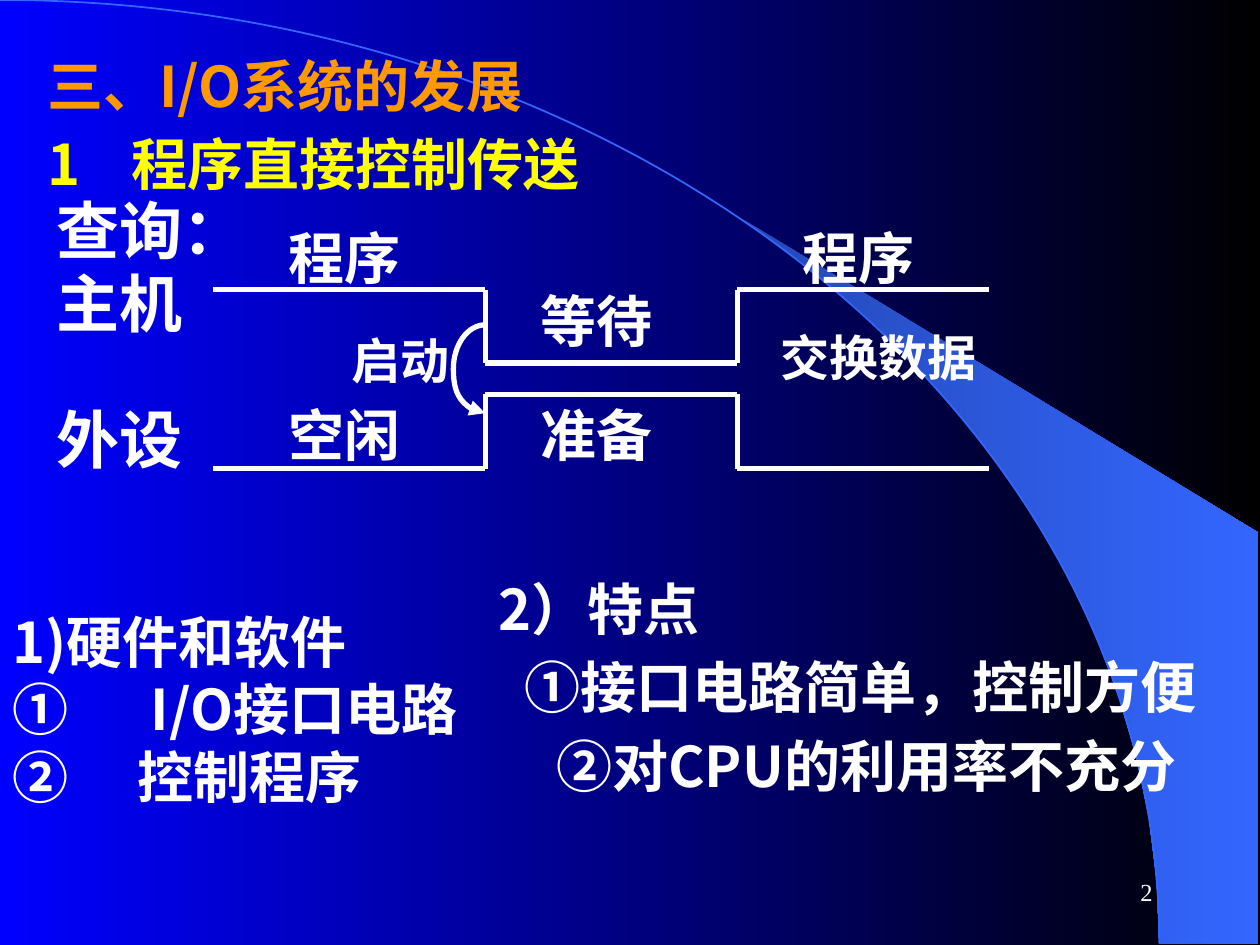
import math
from itertools import cycle, pairwise
from lxml import etree
from pptx import Presentation
from pptx import util as u
from pptx.dml.color import RGBColor
from pptx.enum import shapes, text
from pptx.oxml.ns import qn

COLORS = {"white": "FFFFFF", "orange": "FF9900", "yellow": "FFFF00", "blue": "0000FF",
          "black": "000000", "arc": "3366FF", "wedge": "2449B6"}
CJK, SERIF = "Noto Sans CJK SC", "Times New Roman"

HEADINGS = [("三、I/O系统的发展", 1.7, -1.7), ("1\t程序直接控制传送", 1.7, -1.7)]
PARTS = [("1)硬件和软件", 0, 0), ("①\tI/O接口电路", 2.79, -2.79), ("②\t控制程序", 2.52, -2.52)]
FEATURES = [("2）特点", 0, 0), ("①接口电路简单，控制方便", 0.52, 0), ("②对CPU的利用率不充分", 1.16, 0)]
LABELS = [
    ("查询：", 0.89, 3.73, 6.55, 36, CJK),
    ("主机", 0.89, 5.21, 3.81, 36, CJK),
    ("外设", 0.89, 7.95, 3.81, 36, CJK),
    ("程序", 5.56, 4.37, 3.18, 32, SERIF),
    ("空闲", 5.56, 7.95, 3.18, 32, SERIF),
    ("启动", 6.83, 6.53, 2.74, 28, SERIF),
    ("等待", 10.64, 5.64, 3.18, 32, SERIF),
    ("准备", 10.64, 7.95, 3.18, 32, SERIF),
    ("程序", 15.93, 4.37, 4.65, 32, SERIF),
    ("交换数据", 15.49, 6.48, 5.08, 28, SERIF),
]
TIMES = [4.29, 9.78, 14.86, 19.94]
SIGNALS = {"host": (5.84, 7.32), "device": (9.45, 7.95)}
HORIZON = (23.37, 19.02)
WEDGE_CORNERS = [(25.37, 19.02), (25.37, 10.74)]


def rgb(name):
    return RGBColor.from_string(COLORS[name])


def fill_gradient(fill, *names):
    fill.gradient()
    fill.gradient_angle = 0
    for position, (stop, name) in enumerate(zip(fill.gradient_stops, names)):
        stop.color.rgb = rgb(name)
        stop.position = position


def write(shape, lines, box, *, size=32, font=CJK, colors=("white",), bold=True, gap=0,
          align=text.PP_ALIGN.LEFT, anchor=text.MSO_ANCHOR.TOP, inset=0.13):
    shape.left, shape.top, shape.width, shape.height = map(u.Cm, box)
    frame = shape.text_frame
    frame.word_wrap = True
    frame.auto_size = text.MSO_AUTO_SIZE.NONE
    frame.vertical_anchor = anchor
    frame.margin_left = frame.margin_right = u.Cm(0.25)
    frame.margin_top, frame.margin_bottom = u.Cm(inset), u.Cm(0.13)
    for number, ((line, margin, indent), color) in enumerate(zip(lines, cycle(colors))):
        paragraph = frame.add_paragraph() if number else frame.paragraphs[0]
        paragraph.alignment = align
        paragraph.line_spacing = u.Pt(round(size * 1.2, 1))
        paragraph.space_before = u.Pt(gap if number else 0)
        properties = paragraph._p.get_or_add_pPr()
        properties.set("marL", str(u.Cm(margin)))
        properties.set("indent", str(u.Cm(indent)))
        run = paragraph.add_run()
        run.text = line
        run.font.size, run.font.bold, run.font.name = u.Pt(size), bold, font
        run.font.color.rgb = rgb(color)
        etree.SubElement(run._r.get_or_add_rPr(), qn("a:ea")).set("typeface", CJK)


def draw_outline(slide, points, *, close=False):
    corners = [(u.Cm(x), u.Cm(y)) for x, y in points]
    builder = slide.shapes.build_freeform(*corners[0])
    builder.add_line_segments(corners[1:], close=close)
    shape = builder.convert_to_shape()
    shape.shadow.inherit = False
    return shape


def draw_quarter(slide, start, end, color, width):
    (x1, y1), (x2, y2) = start, end
    bend = 0.55
    curve = draw_outline(slide, [start, (x1 + bend * (x2 - x1), y1),
                                 (x2, y2 - bend * (y2 - y1)), end])
    first, *rest = curve._element.findall(".//" + qn("a:lnTo"))
    first.tag = qn("a:cubicBezTo")
    for step in rest:
        first.append(step[0])
        step.getparent().remove(step)
    curve.fill.background()
    curve.line.color.rgb = rgb(color)
    curve.line.width = u.Pt(width)
    return curve


def draw_wedge(slide):
    rx, ry = HORIZON
    angles = [math.radians(39.8 + i * 50.2 / 13) for i in range(14)]
    rim = [(rx * math.sin(a), ry * (1 - math.cos(a))) for a in angles]
    wedge = draw_outline(slide, rim + WEDGE_CORNERS, close=True)
    fill_gradient(wedge.fill, "wedge", "arc")
    wedge.line.fill.background()


def draw_start_arrow(slide):
    x, left, middle = TIMES[1], 9.14, 7.44
    ends = []
    for y in (6.55, 8.33):
        ends.append(draw_quarter(slide, (x, y), (left, middle), "white", 3))
    line = ends[-1].line._get_or_add_ln()
    etree.SubElement(line, qn("a:headEnd")).set("type", "triangle")


def draw_signal(slide, rest, active):
    start, rise, fall, end = TIMES
    corners = [(start, rest), (rise, rest), (rise, active),
               (fall, active), (fall, rest), (end, rest)]
    for (x1, y1), (x2, y2) in pairwise(corners):
        edge = slide.shapes.add_connector(
            shapes.MSO_CONNECTOR.STRAIGHT, u.Cm(x1), u.Cm(y1), u.Cm(x2), u.Cm(y2))
        edge.line.color.rgb = rgb("white")
        edge.line.width = u.Pt(3)
        etree.SubElement(edge._element.spPr, qn("a:effectLst"))


def main():
    deck = Presentation()
    deck.slide_width, deck.slide_height = u.Cm(25.4), u.Cm(19.05)
    slide = deck.slides.add_slide(deck.slide_layouts[5])
    fill_gradient(slide.background.fill, "blue", "black")
    draw_wedge(slide)
    draw_quarter(slide, (0, 0), HORIZON, "arc", 1)

    def add_text(lines, box, **style):
        write(slide.shapes.add_textbox(0, 0, 0, 0), lines, box, **style)

    add_text([("2", 0, 0)], (18.21, 17.35, 5.28, 1.27), size=14, font=SERIF, bold=False,
             align=text.PP_ALIGN.RIGHT, anchor=text.MSO_ANCHOR.MIDDLE)
    title = slide.shapes.title
    slide.shapes._spTree.append(title._element)
    write(title, HEADINGS, (0.7, 0.91, 23.5, 9.8), colors=("orange", "yellow"), gap=6.2)
    add_text(PARTS, (0, 12.12, 13.2, 4.32))
    add_text(FEATURES, (9.8, 11.13, 15.6, 6.8), gap=6.4, inset=0.45)

    for rest, active in SIGNALS.values():
        draw_signal(slide, rest, active)
    draw_start_arrow(slide)
    for label, left, top, width, size, font in LABELS:
        add_text([(label, 0, 0)], (left, top, width, round(size * 0.05, 2)),
                 size=size, font=font)

    deck.save("out.pptx")


if __name__ == "__main__":
    main()
